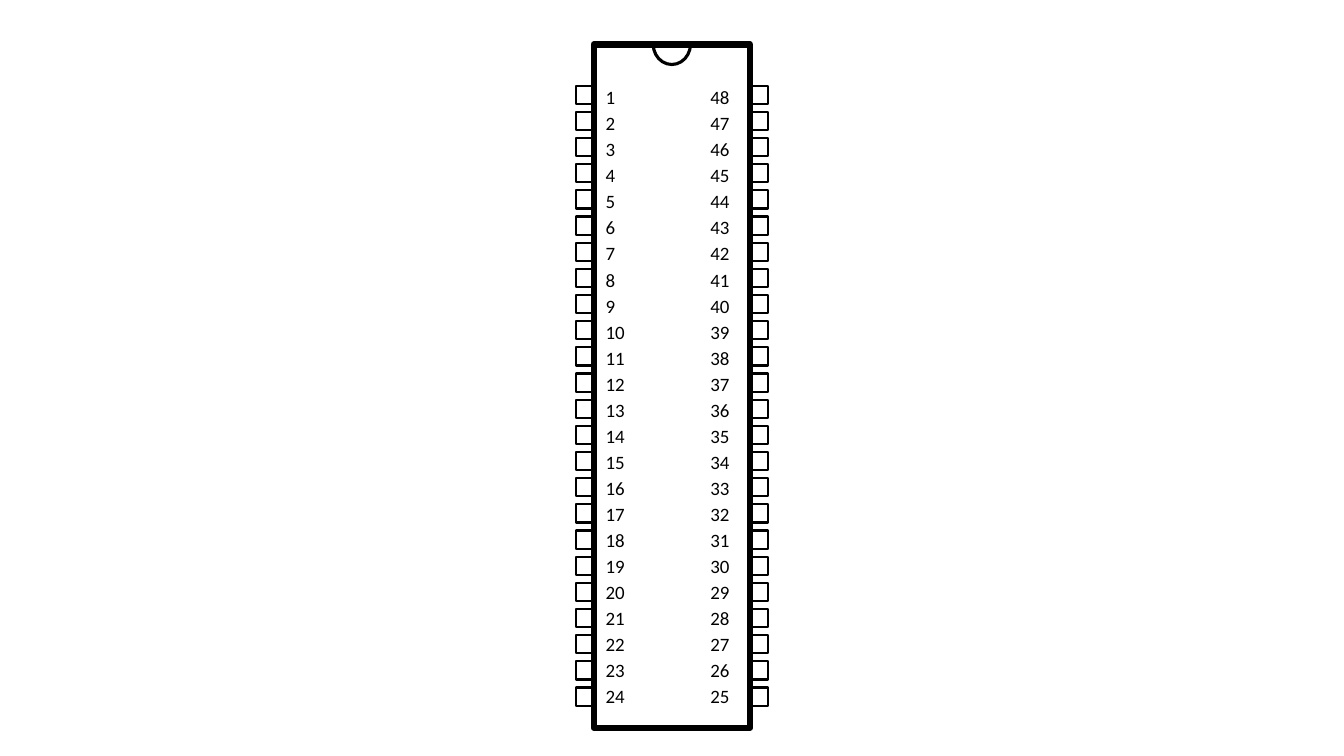
from pptx import Presentation
from pptx.dml.color import RGBColor
from pptx.enum.shapes import MSO_SHAPE
from pptx.enum.text import MSO_ANCHOR, MSO_AUTO_SIZE, PP_ALIGN
from pptx.util import Pt

RECT, PIE = MSO_SHAPE.RECTANGLE, MSO_SHAPE.CHORD and MSO_SHAPE.PIE
LEFT, TOP = PP_ALIGN.LEFT, MSO_ANCHOR.TOP
GROW = MSO_AUTO_SIZE.SHAPE_TO_FIT_TEXT

BLACK = "000000"
PINS_PER_SIDE = 24
PIN_SIZE, PIN_TOP, PIN_PITCH = 13, 61.2, 18.69
LABEL_TOP, LABEL_W, LABEL_H = 55.4, 34.5, 466.6


def rgb(value):
    return RGBColor.from_string(value)


class ChipSlide:
    """Holds the text style and the group that forms the chip."""

    font = {"name": "Calibri", "size": Pt(13.5)}
    paragraph = {"alignment": LEFT, "line_spacing": Pt(18.6)}
    frame = {"word_wrap": True, "auto_size": GROW, "vertical_anchor": TOP}

    def __init__(self, prs):
        self.s = prs.slides.add_slide(prs.slide_layouts[6])
        self.chip = self.s.shapes.add_group_shape()

    def apply(self, target, formats):
        for name, value in formats.items():
            setattr(target, name, value)

    def outline(self, kind, x, y, w, h, weight):
        sp = self.chip.shapes.add_shape(kind, Pt(x), Pt(y), Pt(w), Pt(h))
        sp.shadow.inherit = False
        sp.fill.background()
        sp.line.color.rgb = rgb(BLACK)
        sp.line.width = Pt(weight)
        return sp

    def labels(self, x, numbers):
        sp = self.chip.shapes.add_textbox(
            Pt(x), Pt(LABEL_TOP), Pt(LABEL_W), Pt(LABEL_H))
        tf = sp.text_frame
        self.apply(tf, self.frame)
        tf.text = "\n".join(str(n) for n in numbers)
        for p in tf.paragraphs:
            self.apply(p, self.paragraph)
            for r in p.runs:
                self.apply(r.font, self.font)
                r.font.color.rgb = rgb(BLACK)

    def pins(self, x):
        for i in range(PINS_PER_SIDE):
            self.outline(RECT, x, PIN_TOP + i * PIN_PITCH,
                         PIN_SIZE, PIN_SIZE, 1.5)


def main():
    prs = Presentation()
    prs.slide_width, prs.slide_height = Pt(960), Pt(540)
    slide = ChipSlide(prs)

    # Body and orientation notch
    slide.outline(RECT, 424.2, 31.7, 111.5, 488.2, 4.5)
    notch = slide.outline(PIE, 466.6, 17.3, 26.6, 28.8, 2.25)
    notch.adjustments[0] = 0
    notch.adjustments[1] = 107.888

    # Pin numbers: down the left side, back up the right
    slide.labels(425.5, range(1, PINS_PER_SIDE + 1))
    slide.labels(500.4, range(2 * PINS_PER_SIDE, PINS_PER_SIDE, -1))

    # Pins
    for x in (411.3, 535.7):
        slide.pins(x)

    prs.save("out.pptx")


if __name__ == "__main__":
    main()
